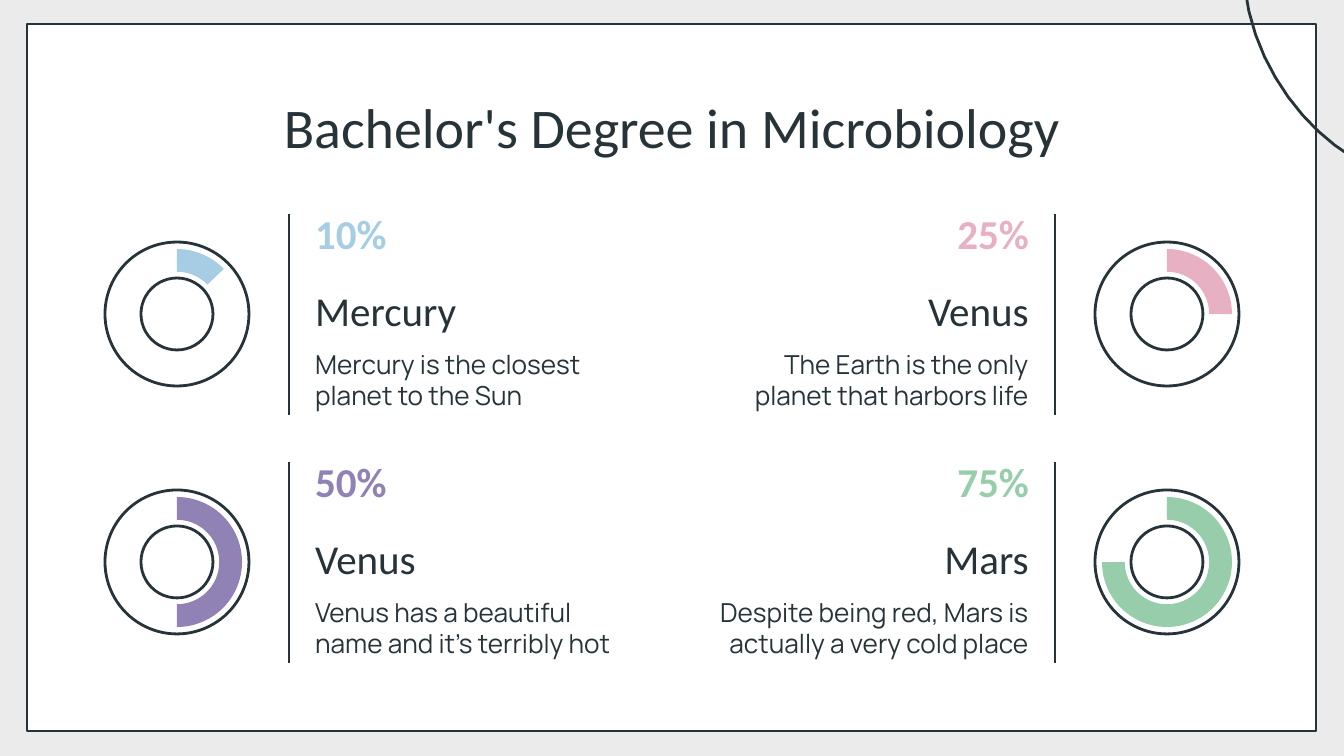
from lxml.etree import SubElement
from pptx import Presentation
from pptx.dml.color import RGBColor
from pptx.enum.shapes import MSO_CONNECTOR as Connector, MSO_SHAPE as Shape
from pptx.enum.text import MSO_ANCHOR as Anchor, PP_ALIGN as Align
from pptx.oxml.ns import qn
from pptx.util import Pt

SCALE = 914400 / 134.4
INSET = 13.44
COLORS = {"page": "EBEBEB", "panel": "FFFFFF", "ink": "263339", "blue": "A6CDE4",
          "pink": "E8B0C3", "purple": "9182B5", "green": "98CDAB"}
CARDS = [
    ("10%", "Mercury", "Mercury is the closest planet to the Sun", "blue", 46),
    ("25%", "Venus", "The Earth is the only planet that harbors life", "pink", 90),
    ("50%", "Venus", "Venus has a beautiful name and it’s terribly hot", "purple", 180),
    ("75%", "Mars", "Despite being red, Mars is actually a very cold place", "green", 270),
]
CARD_WIDTH = 540
BLOB_START = (1536, 31)
BLOB_CURVES = [
    ((1550, -19), (1542, -97), (1478, -102)),
    ((1458, -102), (1439, -91), (1418, -89)),
    ((1352, -85), (1357, -148), (1317, -159)),
    ((1269, -160), (1246, -105), (1245, -63)),
    ((1219, 141), (1507, 314), (1536, 31)),
]


def emu(*lengths):
    """Turn px lengths into EMU."""
    return [round(length * SCALE) for length in lengths]


def color(name):
    """Look up a named colour."""
    return RGBColor.from_string(COLORS[name])


def style(shape, fill=None, line=None):
    """Give a shape its fill and outline, without a shadow."""
    shape.shadow.inherit = False
    if fill:
        shape.fill.solid()
        shape.fill.fore_color.rgb = color(fill)
    else:
        shape.fill.background()
    if line:
        shape.line.color.rgb = color(line)
        shape.line.width = Pt(1.5)
    else:
        shape.line.fill.background()


def write(box, text, size, font, ink="ink", align=Align.LEFT, anchor=Anchor.TOP, bold=False):
    """Fill a text box with one formatted paragraph."""
    frame = box.text_frame
    frame.word_wrap = True
    frame.vertical_anchor = anchor
    inset = emu(INSET)[0]
    frame.margin_left = frame.margin_right = frame.margin_top = frame.margin_bottom = inset
    para = frame.paragraphs[0]
    para.text = text
    para.alignment = align
    para.font.size = Pt(size)
    para.font.name = font
    para.font.bold = bold
    para.font.color.rgb = color(ink)


def bezier(start, first, second, end, steps=24):
    """List points along a cubic curve, leaving out its start."""
    points = []
    for step in range(1, steps + 1):
        t = step / steps
        weights = ((1 - t) ** 3, 3 * t * (1 - t) ** 2, 3 * t * t * (1 - t), t ** 3)
        points.append(tuple(sum(weight * point[axis] for weight, point
                                in zip(weights, (start, first, second, end)))
                            for axis in (0, 1)))
    return points


def add_backdrop(page):
    """Draw the page colour, the framed panel and the corner blob."""
    page.background.fill.solid()
    page.background.fill.fore_color.rgb = color("page")
    panel = page.shapes.add_shape(Shape.RECTANGLE, *emu(27, 24, 1289, 707))
    style(panel, "panel", "ink")
    points, start = [], BLOB_START
    for curve in BLOB_CURVES:
        points += bezier(start, *curve)
        start = curve[-1]
    builder = page.shapes.build_freeform(*emu(*BLOB_START))
    builder.add_line_segments([emu(*point) for point in points], close=True)
    style(builder.convert_to_shape(), line="ink")


def add_title(page, text, left, top, width, height):
    """Place the title above the backdrop."""
    title = page.shapes.title
    title.left, title.top, title.width, title.height = emu(left, top, width, height)
    write(title, text, 30, "Calibri", align=Align.CENTER)
    page.shapes.element.append(title.element)


def add_card(page, left, top, mirrored, percent, name, note, accent, sweep):
    """Draw a ring, a divider and three texts, mirrored on the right side."""
    shapes = page.shapes

    def place(x, y, width, height):
        """Locate a part of the card."""
        return emu(left + (CARD_WIDTH - x - width if mirrored else x), top + y, width, height)

    ring = shapes.add_shape(Shape.DONUT, *place(0, 42, 144, 144))
    ring.adjustments[0] = 0.25
    style(ring, line="ink")

    arc = shapes.add_shape(Shape.BLOCK_ARC, *place(7, 49, 130, 130))
    arc.adjustments[0] = 270 * 0.6
    arc.adjustments[1] = (270 + sweep) % 360 * 0.6
    arc.adjustments[2] = 0.175
    style(arc, accent)

    x, y, _, height = place(184, 14, 0, 201)
    divider = shapes.add_connector(Connector.STRAIGHT, x, y + height, x, y)
    divider.line.color.rgb = color("ink")
    divider.line.width = Pt(1.5)
    SubElement(divider.element.spPr, qn("a:effectLst"))

    align = Align.RIGHT if mirrored else Align.LEFT
    write(shapes.add_textbox(*place(197, 81, 343, 67)), name, 22, "Calibri",
          align=align, anchor=Anchor.BOTTOM)
    write(shapes.add_textbox(*place(197, 135, 343, 94)), note, 14, "Manrope", align=align)
    write(shapes.add_textbox(*place(197, 0, 171, 67)), percent, 22, "Calibri",
          accent, align, Anchor.MIDDLE, True)


def main():
    """Build and save the slide."""
    deck = Presentation()
    deck.slide_width, deck.slide_height = emu(1344, 756)
    page = deck.slides.add_slide(deck.slide_layouts[5])
    add_backdrop(page)
    add_title(page, "Bachelor's Degree in Microbiology", 105, 79, 1134, 94)
    for index, card in enumerate(CARDS):
        row, column = divmod(index, 2)
        add_card(page, 105 + column * 594, 200 + row * 248, column == 1, *card)
    deck.save("out.pptx")


if __name__ == "__main__":
    main()
